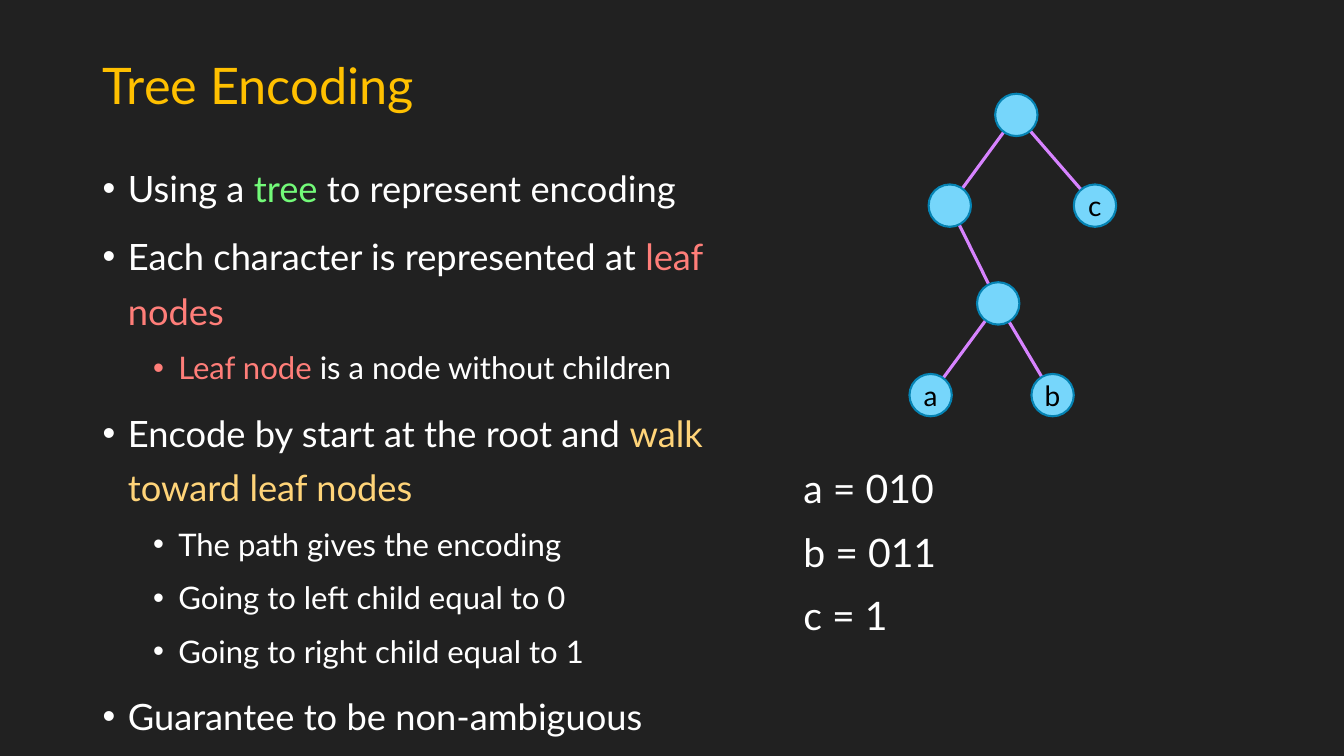
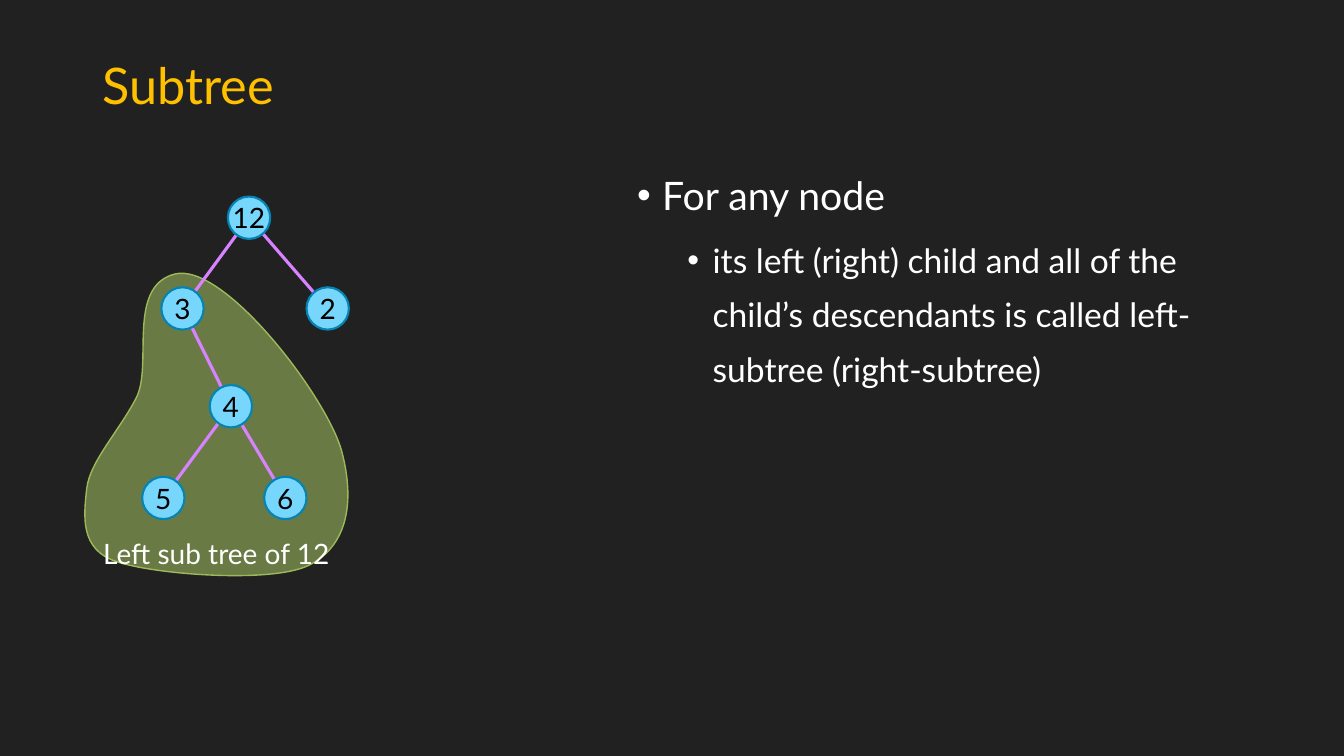
from lxml import etree
from pptx import Presentation
from pptx.dml.color import RGBColor
from pptx.enum.shapes import MSO_CONNECTOR, MSO_SHAPE
from pptx.enum.text import MSO_ANCHOR, PP_ALIGN
from pptx.oxml.ns import qn
from pptx.util import Inches, Pt

OVAL = MSO_SHAPE.OVAL
STRAIGHT = MSO_CONNECTOR.STRAIGHT
MIDDLE, BOTTOM = MSO_ANCHOR.MIDDLE, MSO_ANCHOR.BOTTOM
CENTER = PP_ALIGN.CENTER

FONT = "Lato"
COLORS = {
    "bg": "212121", "title": "FFC000", "text": "FFFFFF", "label": "000000",
    "green": "73FA79", "red": "FF7E79", "yellow": "FFD479",
    "node": "76D6FB", "node_line": "0583B3", "edge": "D783FF",
    "region": "D4FB79", "region_line": "9DBA5A",
}

ENCODING_BULLETS = [
    (0, [("Using a ", "text"), ("tree", "green"), (" to represent encoding", "text")]),
    (0, [("Each character is represented at ", "text"), ("leaf nodes", "red")]),
    (1, [("Leaf node ", "red"), ("is a node without children", "text")]),
    (0, [("Encode by start at the root and ", "text"),
         ("walk toward leaf nodes", "yellow")]),
    (1, [("The path gives the encoding", "text")]),
    (1, [("Going to left child equal to 0", "text")]),
    (1, [("Going to right child equal to 1", "text")]),
    (0, [("Guarantee to be non-ambiguous", "text")]),
]
SUBTREE_BULLETS = [
    (0, [("For any node", "text")]),
    (1, [("its left (right) child and all of the child’s descendants is called "
          "left-subtree (right-subtree)", "text")]),
]
CODES = ["a = 010", "b = 011", "c = 1"]

NODE_SIZE = 0.42
TREE_NODES = {
    "root": (0, 0), "left": (-0.66, 0.9), "inner": (-0.18, 1.87),
    "inner_left": (-0.85, 2.78), "inner_right": (0.36, 2.78), "right": (0.78, 0.9),
}
TREE_EDGES = [
    ("left", "inner"), ("inner_left", "inner"), ("inner_right", "inner"),
    ("right", "root"), ("left", "root"),
]
ENCODING_LABELS = {"inner_left": "a", "inner_right": "b", "right": "c"}
SUBTREE_LABELS = {"root": "12", "left": "3", "inner": "4",
                  "inner_left": "5", "inner_right": "6", "right": "2"}

REGION_BOX = (0.84, 2.71, 2.61, 3)
REGION_START = (1.15, 5.57)
REGION_CURVES = [
    ((0.79, 5.45), (0.83, 5.12), (0.86, 4.85)),
    ((0.89, 4.58), (1.18, 4.28), (1.35, 3.95)),
    ((1.52, 3.63), (1.25, 2.85), (1.73, 2.72)),
    ((2.22, 2.59), (3.25, 3.95), (3.39, 4.48)),
    ((3.53, 5.01), (3.43, 5.43), (3.06, 5.61)),
    ((2.69, 5.79), (1.52, 5.7), REGION_START),
]


def rgb(name):
    return RGBColor.from_string(COLORS[name])


def add_run(p, text, size, color):
    r = p.add_run()
    r.text = text
    r.font.name, r.font.size = FONT, Pt(size)
    r.font.color.rgb = rgb(color)


def add_textbox(slide, left, top, width, height):
    sp = slide.shapes.add_textbox(*map(Inches, (left, top, width, height)))
    sp.text_frame.word_wrap = True
    return sp.text_frame


def add_slide(prs, title):
    slide = prs.slides.add_slide(prs.slide_layouts[6])
    slide.background.fill.solid()
    slide.background.fill.fore_color.rgb = rgb("bg")
    tf = add_textbox(slide, 0.92, 0.4, 11.5, 0.95)
    tf.vertical_anchor = MIDDLE
    tf.paragraphs[0].line_spacing = 0.9
    add_run(tf.paragraphs[0], title, 36, "title")
    return slide


def add_bullets(slide, items, left, width, sizes, spacing):
    tf = add_textbox(slide, left, 1.49, width, 5.49)
    for i, (level, runs) in enumerate(items):
        p = tf.add_paragraph() if i else tf.paragraphs[0]
        p.level = level
        p.line_spacing = spacing
        p.space_before = Pt((10, 5)[level])
        pPr = p._p.get_or_add_pPr()
        pPr.set("marL", str(Inches(0.25 + 0.5 * level)))
        pPr.set("indent", str(Inches(-0.25)))
        etree.SubElement(pPr, qn("a:buFont")).set("typeface", "Arial")
        etree.SubElement(pPr, qn("a:buChar")).set("char", "•")
        for text, color in runs:
            add_run(p, text, sizes[level], color)


def style_shape(sp, fill, line, width):
    sp.shadow.inherit = False
    sp.fill.solid()
    sp.fill.fore_color.rgb = rgb(fill)
    sp.line.color.rgb = rgb(line)
    sp.line.width = Pt(width)


def add_label(sp, text, anchor, color):
    tf = sp.text_frame
    tf.vertical_anchor = anchor
    tf.paragraphs[0].alignment = CENTER
    add_run(tf.paragraphs[0], text, 20, color)


def add_tree(slide, root_x, root_y, labels):
    centers = {name: (root_x + dx, root_y + dy)
               for name, (dx, dy) in TREE_NODES.items()}
    for start, end in TREE_EDGES:
        line = slide.shapes.add_connector(
            STRAIGHT, *map(Inches, centers[start] + centers[end]))
        line.line.color.rgb = rgb("edge")
        line.line.width = Pt(2.25)
        etree.SubElement(line._element.spPr, qn("a:effectLst"))
    for name, (x, y) in centers.items():
        sp = slide.shapes.add_shape(OVAL, *map(Inches, (
            x - NODE_SIZE / 2, y - NODE_SIZE / 2, NODE_SIZE, NODE_SIZE)))
        style_shape(sp, "node", "node_line", 1.5)
        if name in labels:
            tf = sp.text_frame
            tf.margin_left = tf.margin_right = tf.margin_top = tf.margin_bottom = 0
            tf.word_wrap = False
            add_label(sp, labels[name], MIDDLE, "label")


def draw_curves(sp, box, start, curves):
    left, top, width, height = map(Inches, box)
    sp.left, sp.top, sp.width, sp.height = left, top, width, height
    outline = next(sp._element.iter(qn("a:path")))
    for child in list(outline):
        outline.remove(child)
    outline.set("w", str(width))
    outline.set("h", str(height))
    steps = [("a:moveTo", [start])] + [("a:cubicBezTo", c) for c in curves]
    for tag, points in steps:
        step = etree.SubElement(outline, qn(tag))
        for x, y in points:
            pt = etree.SubElement(step, qn("a:pt"))
            pt.set("x", str(Inches(x) - left))
            pt.set("y", str(Inches(y) - top))
    etree.SubElement(outline, qn("a:close"))


def add_region(slide, label):
    builder = slide.shapes.build_freeform(*map(Inches, REGION_START))
    builder.add_line_segments([tuple(map(Inches, c[-1])) for c in REGION_CURVES])
    sp = builder.convert_to_shape()
    draw_curves(sp, REGION_BOX, REGION_START, REGION_CURVES)
    style_shape(sp, "region", "region_line", 1)
    color = sp._element.spPr.find(qn("a:solidFill"))[0]
    etree.SubElement(color, qn("a:alpha")).set("val", "41000")
    add_label(sp, label, BOTTOM, "text")


def main():
    prs = Presentation()
    prs.slide_width, prs.slide_height = Inches(13.33), Inches(7.5)

    slide = add_slide(prs, "Tree Encoding")
    add_bullets(slide, ENCODING_BULLETS, 0.92, 7.04, (25.9, 22.2), 1.25)
    add_tree(slide, 10.08, 1.14, ENCODING_LABELS)
    for i, code in enumerate(CODES):
        tf = add_textbox(slide, 7.87, 4.56 + 0.63 * i, 1.83, 0.57)
        add_run(tf.paragraphs[0], code, 28, "text")

    slide = add_slide(prs, "Subtree")
    add_region(slide, "Left sub tree of 12")
    add_bullets(slide, SUBTREE_BULLETS, 6.22, 6.2, (28, 24), 1.35)
    add_tree(slide, 2.47, 2.16, SUBTREE_LABELS)

    prs.save("out.pptx")


if __name__ == "__main__":
    main()
